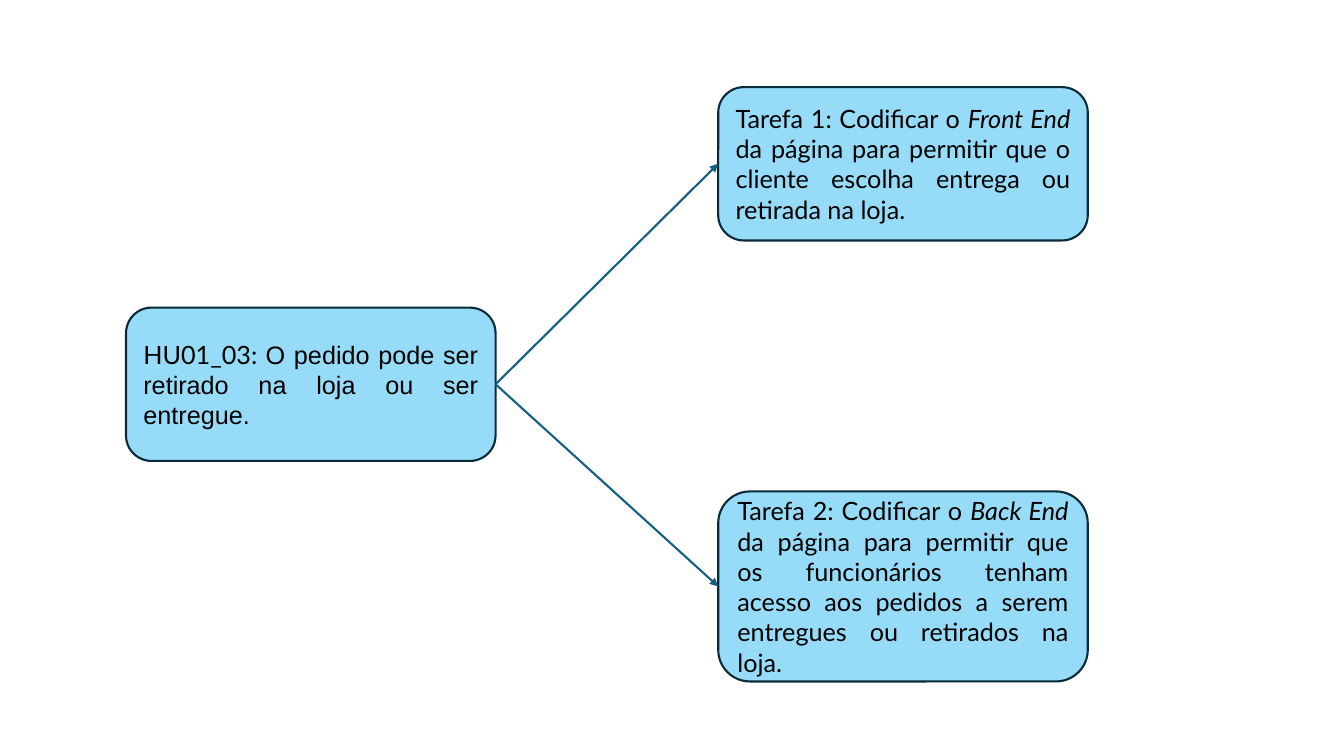
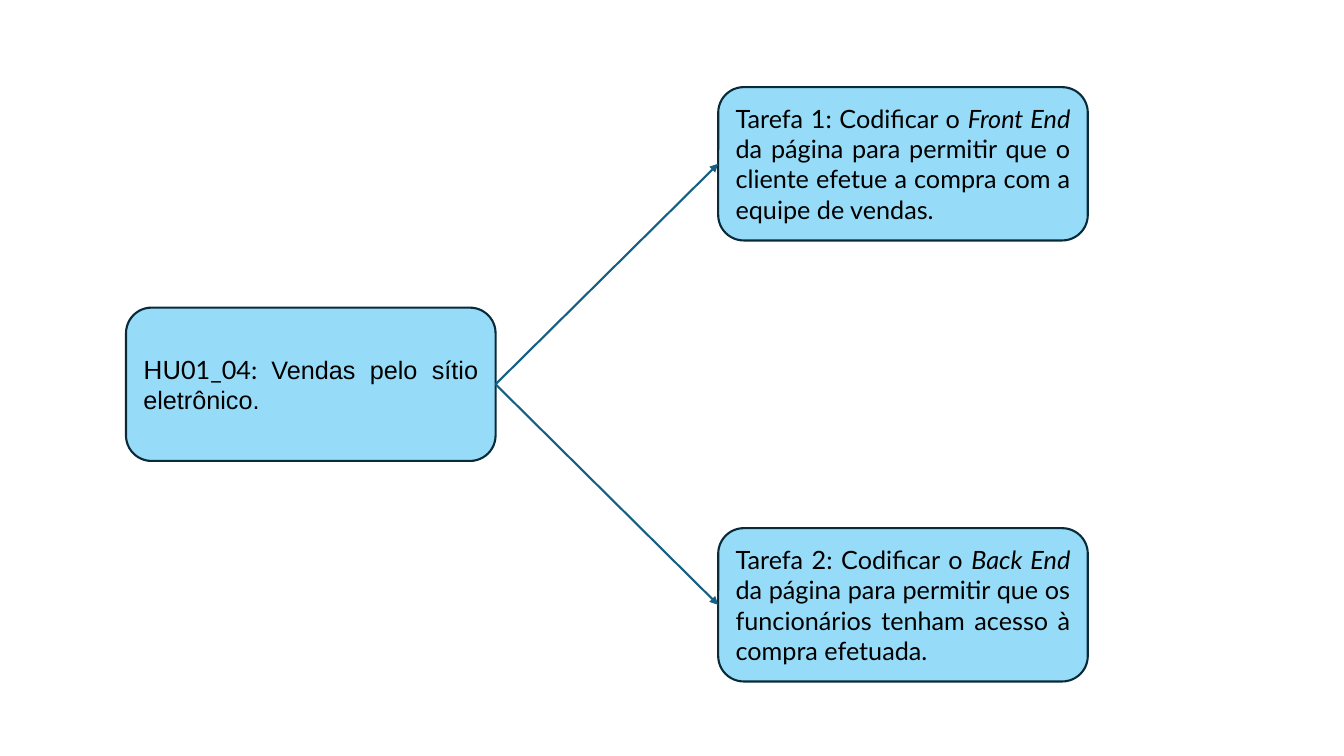
from pptx import Presentation
from pptx.dml.color import RGBColor
from pptx.enum.shapes import MSO_CONNECTOR, MSO_SHAPE
from pptx.enum.text import MSO_ANCHOR, PP_ALIGN
from pptx.oxml.ns import qn
from pptx.util import Pt
from lxml.etree import SubElement

EMU_PER_PX = 9525
BOX_FILL, BOX_LINE, ARROW, TEXT = "96DCF8", "092A39", "156082", "000000"
LINE_WIDTH = 1.5
BOX_WIDTH, BOX_HEIGHT = 352, 146
STORY_LEFT, STORY_TOP = 120, 293
TASK_LEFT, FIRST_TASK_TOP, LAST_TASK_BOTTOM = 684, 83, 649
LEFT_SIDE, RIGHT_SIDE = 1, 3

BREAKDOWNS = [
    {
        "story": ("HU01_03: ", "O pedido pode ser retirado na loja ou ser entregue."),
        "front_end": "cliente escolha entrega ou retirada na loja.",
        "back_end": "funcionários tenham acesso aos pedidos a serem entregues ou retirados na loja.",
        "back_end_height": 181,
    },
    {
        "story": ("HU01_04: ", "Vendas pelo sítio eletrônico."),
        "front_end": "cliente efetue a compra com a equipe de vendas.",
        "back_end": "funcionários tenham acesso à compra efetuada.",
        "back_end_height": BOX_HEIGHT,
    },
]


def px(length):
    return length * EMU_PER_PX


def color(hex_string):
    return RGBColor.from_string(hex_string)


def set_line(shape, hex_string):
    shape.line.color.rgb = color(hex_string)
    shape.line.width = Pt(LINE_WIDTH)


def add_text(paragraph, text, font="Lato", size=18, italic=False, fill=TEXT):
    run = paragraph.add_run()
    run.text = text
    run.font.name = font
    run.font.size = Pt(size)
    run.font.italic = italic
    run.font.color.rgb = color(fill)


def add_box(slide, left, top, height=BOX_HEIGHT):
    box = slide.shapes.add_shape(
        MSO_SHAPE.ROUNDED_RECTANGLE, px(left), px(top), px(BOX_WIDTH), px(height)
    )
    box.shadow.inherit = False
    box.fill.solid()
    box.fill.fore_color.rgb = color(BOX_FILL)
    set_line(box, BOX_LINE)
    box.text_frame.word_wrap = True
    box.text_frame.vertical_anchor = MSO_ANCHOR.MIDDLE
    box.text_frame.paragraphs[0].alignment = PP_ALIGN.JUSTIFY
    return box


def add_story(slide, code, description):
    story = add_box(slide, STORY_LEFT, STORY_TOP)
    paragraph = story.text_frame.paragraphs[0]
    add_text(paragraph, code)
    add_text(paragraph, description, font="Arial")
    return story


def add_task(slide, number, layer, goal, top, height=BOX_HEIGHT):
    task = add_box(slide, TASK_LEFT, top, height)
    paragraph = task.text_frame.paragraphs[0]
    add_text(paragraph, f"Tarefa {number}: Codificar o ")
    add_text(paragraph, f"{layer} ", italic=True)
    add_text(paragraph, f"da página para permitir que {goal}")
    return task


def add_arrow(slide, story, task):
    arrow = slide.shapes.add_connector(MSO_CONNECTOR.STRAIGHT, 0, 0, 0, 0)
    arrow.begin_connect(story, RIGHT_SIDE)
    arrow.end_connect(task, LEFT_SIDE)
    set_line(arrow, ARROW)
    SubElement(arrow.line._get_or_add_ln(), qn("a:tailEnd"), type="triangle")
    SubElement(arrow._element.spPr, qn("a:effectLst"))


def add_breakdown(slide, story, front_end, back_end, back_end_height):
    story_box = add_story(slide, *story)
    back_end_top = LAST_TASK_BOTTOM - back_end_height
    tasks = [
        add_task(slide, 1, "Front End", f"o {front_end}", FIRST_TASK_TOP),
        add_task(slide, 2, "Back End", f"os {back_end}", back_end_top, back_end_height),
    ]
    for task in tasks:
        add_arrow(slide, story_box, task)


def main():
    presentation = Presentation()
    presentation.slide_width = px(1280)
    presentation.slide_height = px(720)
    blank = presentation.slide_layouts[6]
    for breakdown in BREAKDOWNS:
        add_breakdown(presentation.slides.add_slide(blank), **breakdown)
    presentation.save("out.pptx")


if __name__ == "__main__":
    main()
